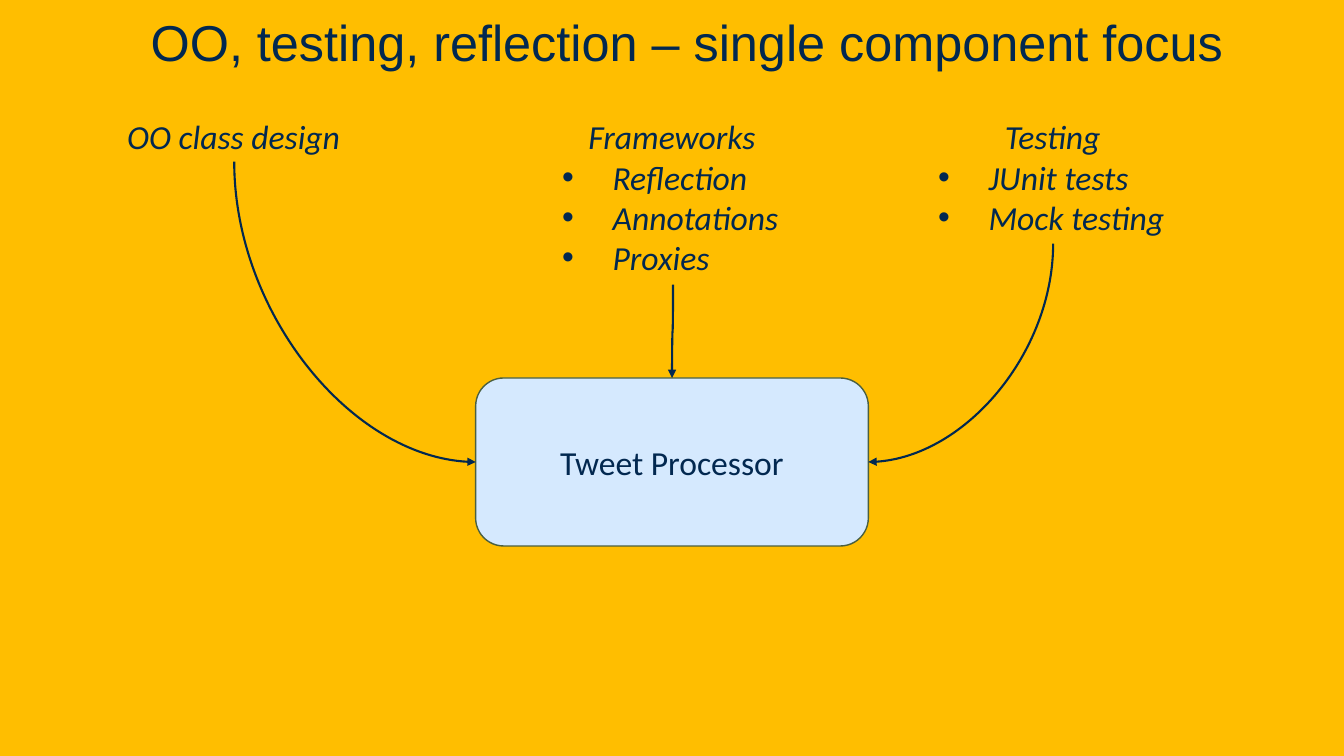
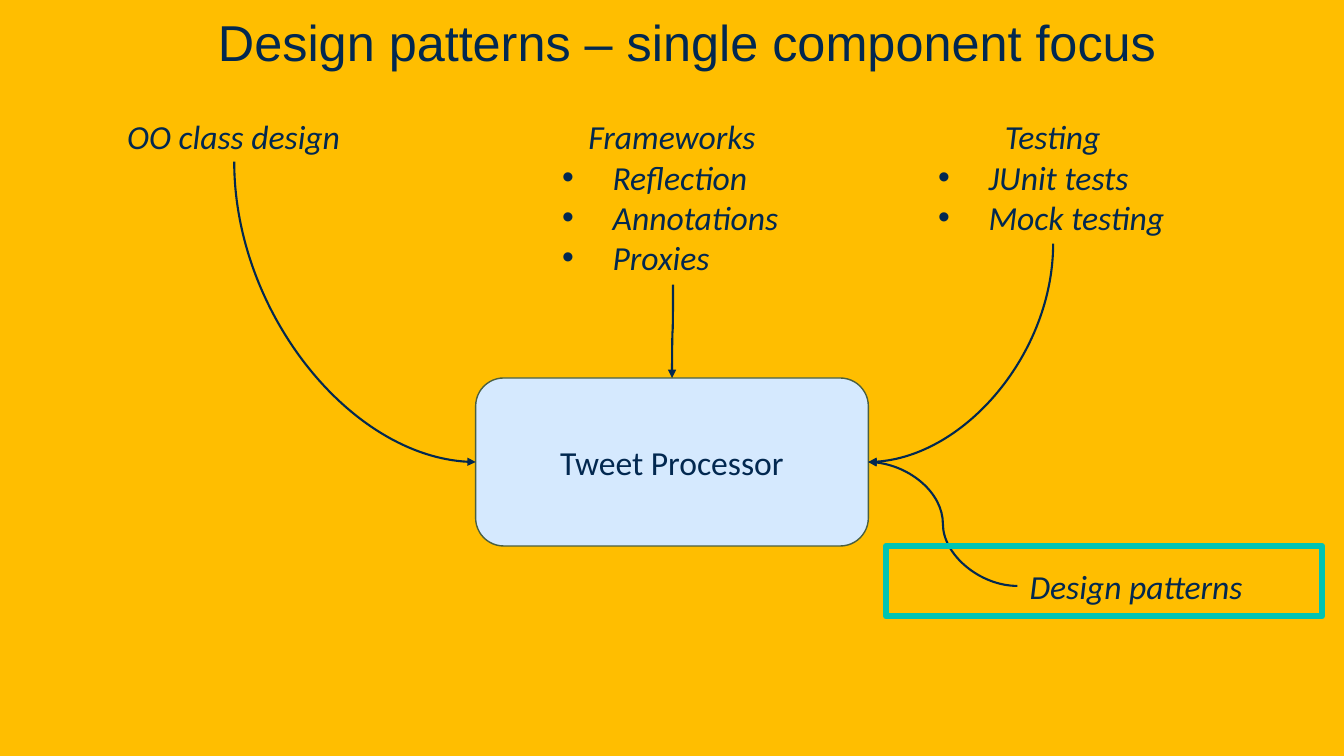
from dataclasses import dataclass

from lxml.etree import SubElement
from pptx import Presentation
from pptx.dml.color import RGBColor as Rgb
from pptx.enum.shapes import MSO_CONNECTOR as Link, MSO_SHAPE as Form
from pptx.enum.text import MSO_ANCHOR as Anchor, MSO_AUTO_SIZE as Fit, PP_ALIGN as Align
from pptx.oxml.ns import qn
from pptx.util import Pt


@dataclass(frozen=True)
class Theme:
    gold: Rgb = Rgb.from_string("FFBE00")
    navy: Rgb = Rgb.from_string("022850")
    pale: Rgb = Rgb.from_string("D5E9FE")
    moss: Rgb = Rgb.from_string("4B6040")
    teal: Rgb = Rgb.from_string("00C4B2")
    head: str = "Arial"
    body: str = "Calibri"
    big: int = 36
    text: int = 24


THEME = Theme()
WIDE, HIGH = 1280, 720
BOX = (453, 360, 374, 160)
LEFT, MID, RIGHT = BOX[0], BOX[1] + BOX[3] // 2, BOX[0] + BOX[2]
BEND, WAVE = "curvedConnector2", "curvedConnector3"


def px(num):
    return round(num * 9525)


def area(*nums):
    return [px(num) for num in nums]


def style(para, font, size, slant=False):
    for run in para.runs:
        run.font.name = font
        run.font.size = Pt(size)
        run.font.italic = slant
        run.font.color.rgb = THEME.navy


def indent(para, left, first):
    props = para._p.get_or_add_pPr()
    props.set("marL", str(px(left)))
    props.set("indent", str(px(first)))
    return props


def title(slide, text):
    shape = slide.shapes.title
    shape.left, shape.top, shape.width, shape.height = area(0, 0, WIDE, 73)
    frame = shape.text_frame
    frame.text = text
    frame.auto_size = Fit.NONE
    frame.vertical_anchor = Anchor.BOTTOM
    para = frame.paragraphs[0]
    para.alignment = Align.CENTER
    para.space_before = Pt(25)
    indent(para, 29, 0)
    style(para, THEME.head, THEME.big)


def panel(slide, form, place, edge, width, fill=None, text=None):
    shape = slide.shapes.add_shape(form, *area(*place))
    shape.shadow.inherit = False
    shape.line.color.rgb = edge
    shape.line.width = Pt(width)
    if fill is None:
        shape.fill.background()
    else:
        shape.fill.solid()
        shape.fill.fore_color.rgb = fill
    if text:
        frame = shape.text_frame
        frame.text = text
        frame.vertical_anchor = Anchor.MIDDLE
        para = frame.paragraphs[0]
        para.alignment = Align.CENTER
        style(para, THEME.body, THEME.text)


def bullet(para):
    props = indent(para, 48, -48)
    SubElement(props, qn("a:buFont"), typeface="Arial")
    SubElement(props, qn("a:buChar"), char="•")


def label(slide, place, head, *items):
    frame = slide.shapes.add_textbox(*area(*place)).text_frame
    frame.word_wrap = False
    frame.auto_size = Fit.SHAPE_TO_FIT_TEXT
    frame.text = "\n".join((head, *items))
    first, *rest = frame.paragraphs
    first.alignment = Align.CENTER
    for para in rest:
        bullet(para)
    for para in frame.paragraphs:
        style(para, THEME.body, THEME.text, True)


def curve(slide, start, end, form, turn, flip=False):
    wide, high = abs(end[0] - start[0]), abs(end[1] - start[1])
    if turn % 180:
        wide, high = high, wide
    left = (start[0] + end[0] - wide) / 2
    top = (start[1] + end[1] - high) / 2
    link = slide.shapes.add_connector(
        Link.CURVE, *area(left, top, left + wide, top + high))
    link.line.color.rgb = THEME.navy
    link.line.width = Pt(1.5)
    props = link.element.spPr
    props.find(qn("a:prstGeom")).set("prst", form)
    frame = props.find(qn("a:xfrm"))
    frame.set("rot", str(turn * 60000))
    if flip:
        frame.set("flipH", "1")
    SubElement(props.find(qn("a:ln")), qn("a:tailEnd"), type="triangle")
    SubElement(props, qn("a:effectLst"))


def scene(deck, text):
    slide = deck.slides.add_slide(deck.slide_layouts[5])
    title(slide, text)
    panel(slide, Form.ROUNDED_RECTANGLE, BOX, THEME.moss, 1,
          THEME.pale, "Tweet Processor")
    label(slide, (110, 106, 225, 48), "OO class design")
    label(slide, (526, 106, 228, 165), "Frameworks",
          "Reflection", "Annotations", "Proxies")
    label(slide, (884, 106, 237, 126), "Testing", "JUnit tests", "Mock testing")
    curve(slide, (223, 154), (LEFT, MID), BEND, 270, True)
    curve(slide, (641, 271), (640, BOX[1]), WAVE, 90)
    curve(slide, (1003, 232), (RIGHT, MID), BEND, 90)
    return slide


def main():
    deck = Presentation()
    deck.slide_width, deck.slide_height = area(WIDE, HIGH)
    fill = deck.slide_master.background.fill
    fill.solid()
    fill.fore_color.rgb = THEME.gold
    scene(deck, "OO, testing, reflection – single component focus")
    slide = scene(deck, "Design patterns – single component focus")
    curve(slide, (969, 558), (RIGHT, MID), WAVE, 180)
    label(slide, (969, 534, 226, 48), "Design patterns")
    panel(slide, Form.RECTANGLE, (844, 520, 415, 67), THEME.teal, 4.5)
    deck.save("out.pptx")


if __name__ == "__main__":
    main()
